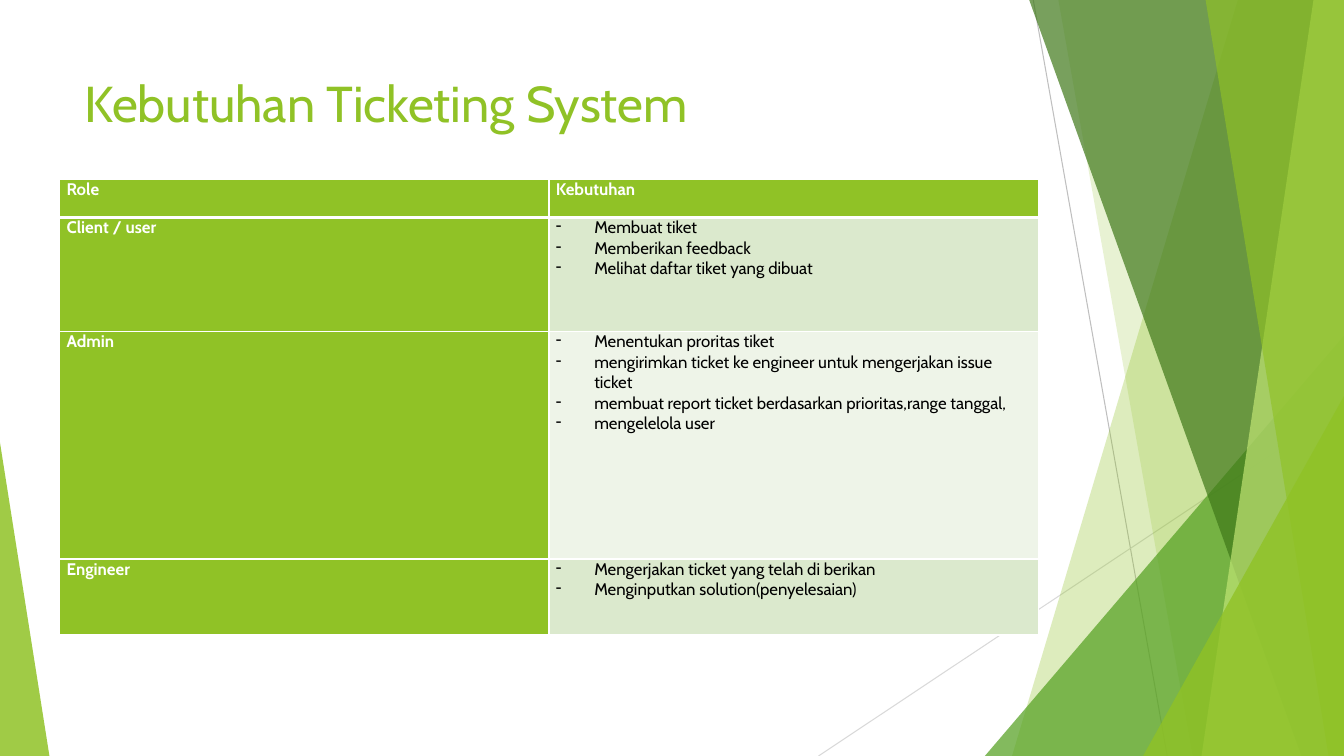
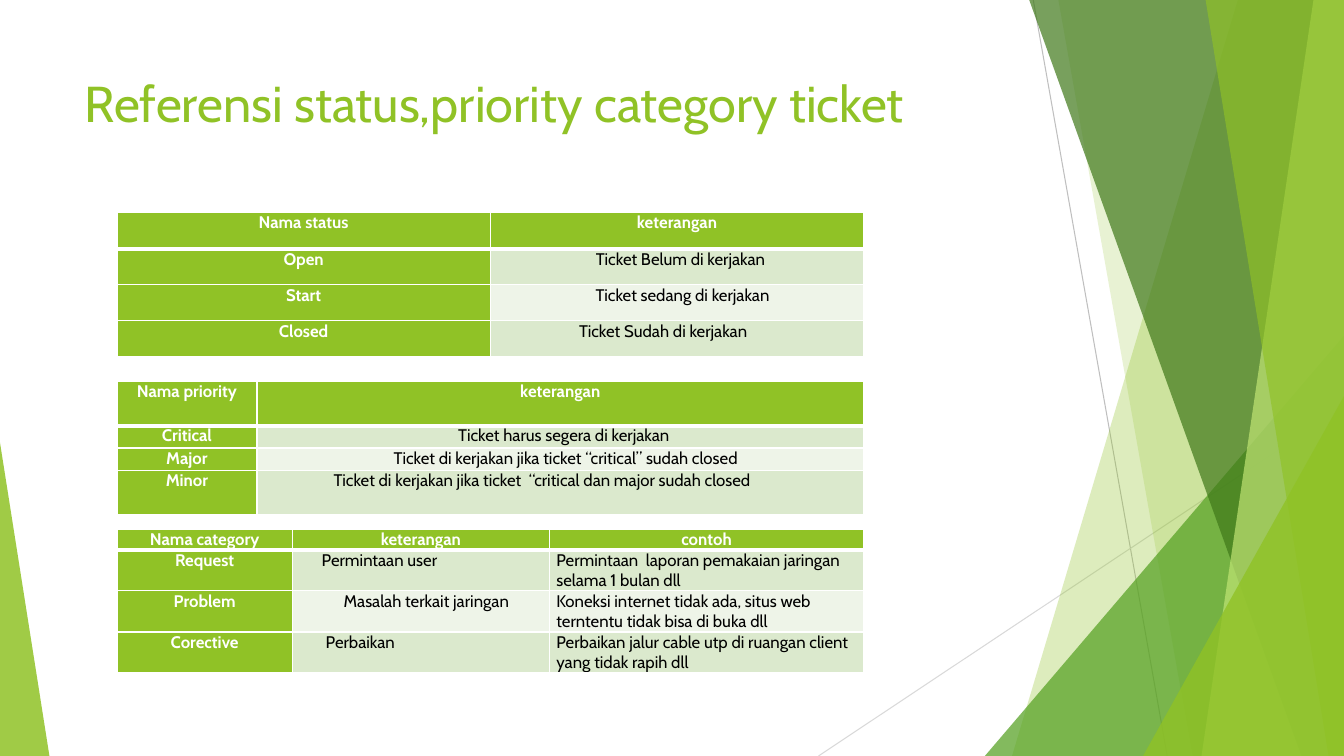
import lxml.etree
import pptx
import pptx.dml.color
import pptx.enum.shapes
import pptx.enum.text
import pptx.oxml.ns
import pptx.util

qn = pptx.oxml.ns.qn
RGB = pptx.dml.color.RGBColor.from_string
SHAPE = pptx.enum.shapes.MSO_SHAPE
LEFT = pptx.enum.text.PP_ALIGN.LEFT
CENTER = pptx.enum.text.PP_ALIGN.CENTER
FONT = "Cabin"
COLORS = {
    "green": "90C226", "leaf": "54A021", "forest": "3F7819", "lime": "C0E474",
    "band_dark": "DBE9CD", "band_light": "EEF4E8", "white": "FFFFFF", "black": "000000",
    "line_dark": "BFBFBF", "line_light": "D9D9D9",
}

prs = pptx.Presentation()
prs.slide_width = pptx.util.Inches(13.33)
prs.slide_height = pptx.util.Inches(7.5)
layout = prs.slide_layouts[5]


def share(x, y):
    return round(prs.slide_width * x / 100), round(prs.slide_height * y / 100)


def add_text(p, text, size, color, bold=False):
    r = p.add_run()
    r.text = text
    r.font.name = FONT
    r.font.size = pptx.util.Pt(size)
    r.font.bold = bold
    r.font.color.rgb = RGB(COLORS[color])


title = layout.placeholders[0]
title.left, title.top = share(5.55, 8.93)
title.width, title.height = share(70.5, 19.2)

SLIDES = [
    ("Kebutuhan Ticketing System", [
        {"at": (4.43, 23.73), "size": (72.83, 60.27), "cols": (1, 1), "rows": (1, 3, 6, 2),
         "align": LEFT, "cells": [
             ["Role", "Kebutuhan"],
             ["Client / user", ["Membuat tiket", "Memberikan feedback",
                                "Melihat daftar tiket yang dibuat"]],
             ["Admin", ["Menentukan proritas tiket",
                        "mengirimkan ticket ke engineer untuk mengerjakan issue ticket",
                        "membuat report ticket berdasarkan prioritas,range tanggal,",
                        "mengelelola user"]],
             ["Engineer", ["Mengerjakan ticket yang telah di berikan",
                           "Menginputkan solution(penyelesaian)"]],
         ]},
    ]),
    ("Referensi status,priority category ticket", [
        {"at": (8.7, 28.13), "size": (55.57, 19.07), "cols": (1, 1), "rows": (1, 1, 1, 1),
         "align": CENTER, "cells": [
             ["Nama status", "keterangan"],
             ["Open", ("Ticket Belum di kerjakan", CENTER, 0.07)],
             ["Start", ("Ticket sedang di kerjakan", CENTER, 0.11)],
             ["Closed", ("Ticket Sudah di kerjakan", LEFT, 0.81)],
         ]},
        {"at": (8.7, 50.4), "size": (55.57, 17.73), "cols": (3, 13), "rows": (2, 1, 1, 2),
         "align": CENTER, "cells": [
             ["Nama priority", "keterangan"],
             ["Critical", ("Ticket harus segera di kerjakan", CENTER, 0.07)],
             ["Major", ("Ticket di kerjakan jika ticket “critical” sudah closed", CENTER, 0.11)],
             ["Minor", ("Ticket di kerjakan jika ticket  “critical dan major sudah closed",
                        LEFT, 0.69)],
         ]},
        {"at": (8.7, 70), "size": (55.57, 18.67), "cols": (23.5, 34.4, 42.1),
         "rows": (1, 2, 2, 2), "align": CENTER, "cells": [
             ["Nama category", "keterangan", "contoh"],
             ["Request", ("Permintaan user", LEFT, 0.22),
              ("Permintaan  laporan pemakaian jaringan selama 1 bulan dll", LEFT, 0)],
             ["Problem", ("Masalah terkait jaringan", CENTER, 0.11),
              ("Koneksi internet tidak ada, situs web terntentu tidak bisa di buka dll", LEFT, 0)],
             ["Corective", ("Perbaikan", LEFT, 0.26),
              ("Perbaikan jalur cable utp di ruangan client yang tidak rapih dll", LEFT, 0)],
         ]},
    ]),
]

for heading, tables in SLIDES:
    s = prs.slides.add_slide(layout)
    tf = s.shapes.title.text_frame
    tf.vertical_anchor = pptx.enum.text.MSO_ANCHOR.TOP
    tf.auto_size = pptx.enum.text.MSO_AUTO_SIZE.NONE
    tf.paragraphs[0].alignment = LEFT
    add_text(tf.paragraphs[0], heading, 36, "green")

    for spec_table in tables:
        cols, rows = spec_table["cols"], spec_table["rows"]
        width, height = share(*spec_table["size"])
        table = s.shapes.add_table(len(rows), len(cols), *share(*spec_table["at"]),
                                   width, height).table
        for column, weight in zip(table.columns, cols):
            column.width = round(width * weight / sum(cols))
        for row, weight in zip(table.rows, rows):
            row.height = round(height * weight / sum(rows))

        for i, contents in enumerate(spec_table["cells"]):
            for j, content in enumerate(contents):
                cell = table.cell(i, j)
                cell.margin_left = cell.margin_right = pptx.util.Inches(0.07)
                cell.margin_top = cell.margin_bottom = 0
                tcPr = cell._tc.get_or_add_tcPr()
                for side in "LRTB":
                    thick = (i, side) in ((0, "B"), (1, "T"))
                    ln = lxml.etree.SubElement(tcPr, qn("a:ln" + side),
                                               w=str(pptx.util.Pt(3 if thick else 1)))
                    fill = lxml.etree.SubElement(ln, qn("a:solidFill"))
                    lxml.etree.SubElement(fill, qn("a:srgbClr"), val=COLORS["white"])

                strong = i == 0 or j == 0
                band = "green" if strong else "band_dark" if i % 2 else "band_light"
                cell.fill.solid()
                cell.fill.fore_color.rgb = RGB(COLORS[band])

                bulleted = isinstance(content, list)
                align, indent = spec_table["align"], 0
                if bulleted:
                    lines, indent = content, 0.38
                elif isinstance(content, tuple):
                    text, align, indent = content
                    lines = [text]
                else:
                    lines = [content]
                tf = cell.text_frame
                for n, line in enumerate(lines):
                    p = tf.add_paragraph() if n else tf.paragraphs[0]
                    p.alignment = align
                    pPr = p._p.get_or_add_pPr()
                    pPr.set("marL", str(pptx.util.Inches(indent)))
                    if bulleted:
                        pPr.set("indent", str(-pptx.util.Inches(indent)))
                        lxml.etree.SubElement(pPr, qn("a:buChar"), char="-")
                    add_text(p, line, 12, "white" if strong else "black", strong)

decor = []
for x1, y1, x2, y2, color in [(76.88, 0, 86.85, 100, "line_dark"),
                              (100, 53.73, 60.9, 100, "line_light")]:
    line = s.shapes.add_connector(pptx.enum.shapes.MSO_CONNECTOR.STRAIGHT,
                                  *share(x1, y1), *share(x2, y2))
    line.line.color.rgb = RGB(COLORS[color])
    line.line.width = pptx.util.Pt(0.75)
    lxml.etree.SubElement(line.element.spPr, qn("a:effectLst"))
    decor.append(line)

FACETS = [
    ("band", 92.1, 75.3, "green", 30),
    ("band", 78.75, 88.73, "green", 20),
    ("right", 44.4, 73.28, "leaf", 72),
    ("band", 76.58, 96.83, "forest", 70),
    ("band", 97.73, 89.4, "lime", 70),
    ("band", 89.7, 98.85, "green", 65),
    ("right", 52.4, 85.05, "green", 80),
    ("left", 58.53, 3.68, "green", 85),
]
for kind, top, foot, color, opacity in FACETS:
    if kind == "band":
        outline = s.shapes.build_freeform(*share(top, 0))
        outline.add_line_segments([share(100, 0), share(100, 100), share(foot, 100)], close=True)
        sp = outline.convert_to_shape()
    else:
        x, w = (foot, 100 - foot) if kind == "right" else (0, foot)
        sp = s.shapes.add_shape(SHAPE.ISOSCELES_TRIANGLE, *share(x, top), *share(w, 100 - top))
        sp.adjustments[0] = 1 if kind == "right" else 0
    sp.shadow.inherit = False
    sp.line.fill.background()
    sp.fill.solid()
    sp.fill.fore_color.rgb = RGB(COLORS[color])
    srgb = sp.element.spPr.find(qn("a:solidFill")).find(qn("a:srgbClr"))
    lxml.etree.SubElement(srgb, qn("a:alpha"), val=str(opacity * 1000))
    decor.append(sp)

for n, sp in enumerate(decor):
    next(sp.element.iter(qn("p:cNvPr"))).set("id", str(100 + n))
    layout.shapes.element.insert(2 + n, sp.element)

prs.save("out.pptx")
